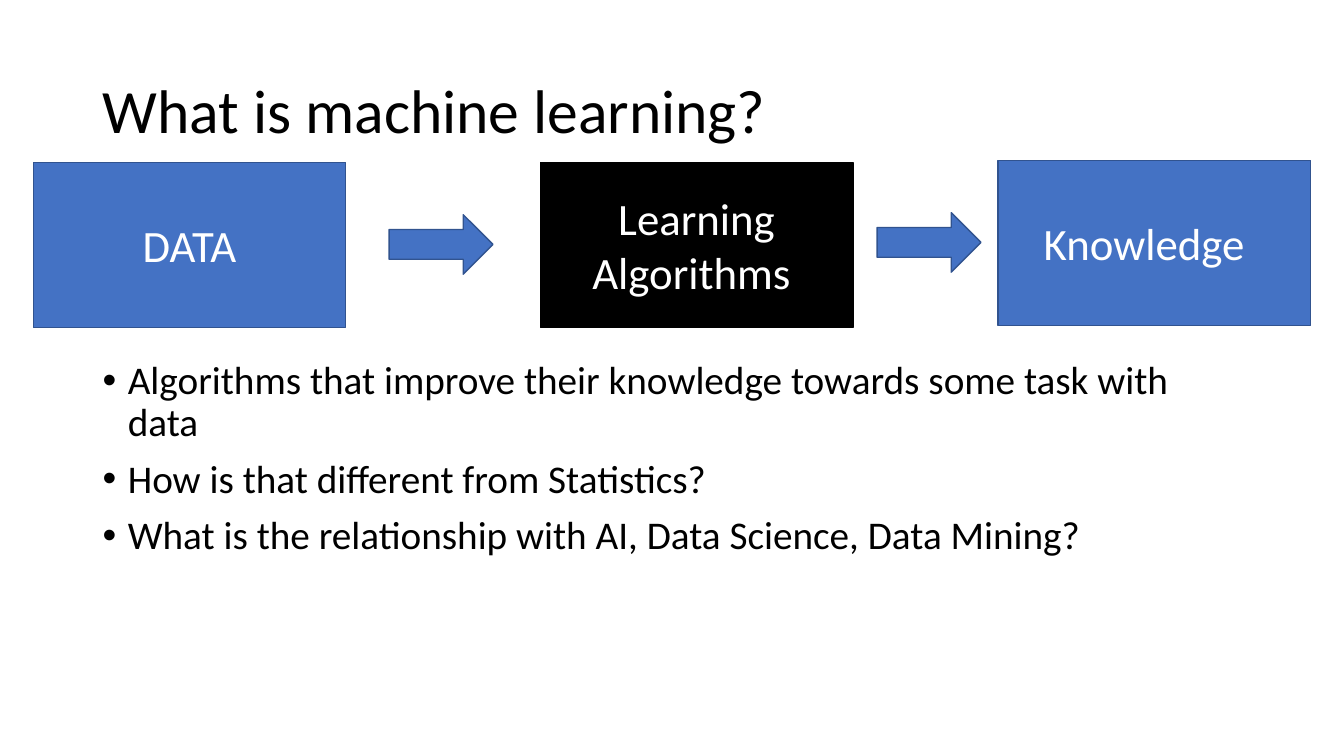
from dataclasses import dataclass

from lxml import etree
from pptx import Presentation
from pptx.dml.color import RGBColor
from pptx.enum.shapes import MSO_SHAPE
from pptx.enum.text import MSO_ANCHOR, PP_ALIGN
from pptx.oxml.ns import qn
from pptx.util import Pt

EMU_PER_PX = 9144  # 100 px to the inch
RECTANGLE, RIGHT_ARROW = MSO_SHAPE.RECTANGLE, MSO_SHAPE.RIGHT_ARROW
TOP, MIDDLE = MSO_ANCHOR.TOP, MSO_ANCHOR.MIDDLE
LEFT, CENTER = PP_ALIGN.LEFT, PP_ALIGN.CENTER

FONT = "Calibri"
BLACK, WHITE = "000000", "FFFFFF"
BLUE, DARK_BLUE = "4472C4", "31538F"
BOX_SIZE = (310, 164)
ARROW_SIZE = (103, 59)
TEXT_LEFT, TEXT_WIDTH = 92, 1150
BULLET_INDENT = 25
SIDE_INSET = 10


@dataclass(frozen=True)
class Stage:
    label: str
    left: int
    top: int
    fill: str = BLUE
    line: str = DARK_BLUE
    right_inset: int = SIDE_INSET


@dataclass(frozen=True)
class Arrow:
    left: int
    top: int


TITLE = "What is machine learning?"
POINTS = [
    "Algorithms that improve their knowledge towards some task with data",
    "How is that different from Statistics?",
    "What is the relationship with AI, Data Science, Data Mining?",
]
PIPELINE = [
    Stage("DATA", 33, 161),
    Arrow(386, 213),
    Stage("Learning Algorithms ", 536, 161, BLACK, BLACK),
    Arrow(870, 211),
    Stage("Knowledge", 990, 159, right_inset=30),
]


def px(length: int) -> int:
    return length * EMU_PER_PX


def color(value: str) -> RGBColor:
    return RGBColor.from_string(value)


def write(shape, lines: list[str], size: int, ink: str, align, anchor) -> None:
    """Fill a shape with one paragraph per line, all in the same style."""
    frame = shape.text_frame
    frame.word_wrap = True
    frame.vertical_anchor = anchor
    frame.text = "\n".join(lines)
    for para in frame.paragraphs:
        para.alignment = align
        for span in para.runs:
            span.font.name = FONT
            span.font.size = Pt(size)
            span.font.color.rgb = color(ink)


def add_text(page, top: int, height: int, lines: list[str], size: int, anchor):
    box = page.shapes.add_textbox(px(TEXT_LEFT), px(top), px(TEXT_WIDTH), px(height))
    write(box, lines, size, BLACK, LEFT, anchor)
    for para in box.text_frame.paragraphs:
        para.line_spacing = 0.9
    return box


def add_bullet(para) -> None:
    properties = para._p.get_or_add_pPr()
    properties.set("marL", str(px(BULLET_INDENT)))
    properties.set("indent", str(-px(BULLET_INDENT)))
    etree.SubElement(properties, qn("a:buFont")).set("typeface", "Arial")
    etree.SubElement(properties, qn("a:buChar")).set("char", "•")


def add_block(page, kind, left: int, top: int, size: tuple[int, int], fill: str, line: str):
    block = page.shapes.add_shape(kind, px(left), px(top), *map(px, size))
    block.shadow.inherit = False
    block.fill.solid()
    block.fill.fore_color.rgb = color(fill)
    block.line.color.rgb = color(line)
    block.line.width = Pt(1)
    return block


def add_stage(page, stage: Stage) -> None:
    box = add_block(page, RECTANGLE, stage.left, stage.top, BOX_SIZE, stage.fill, stage.line)
    write(box, [stage.label], 32, WHITE, CENTER, MIDDLE)
    box.text_frame.margin_right = px(stage.right_inset)


def main() -> None:
    deck = Presentation()
    deck.slide_width, deck.slide_height = px(1333), px(750)
    page = deck.slides.add_slide(deck.slide_layouts[6])

    add_text(page, 40, 145, [TITLE], 44, MIDDLE)
    body = add_text(page, 353, 323, POINTS, 28, TOP)
    for index, para in enumerate(body.text_frame.paragraphs):
        para.space_before = Pt(10 if index else 0)
        add_bullet(para)

    for part in PIPELINE:
        if isinstance(part, Stage):
            add_stage(page, part)
        else:
            add_block(page, RIGHT_ARROW, part.left, part.top, ARROW_SIZE, BLUE, DARK_BLUE)

    deck.save("out.pptx")


if __name__ == "__main__":
    main()
